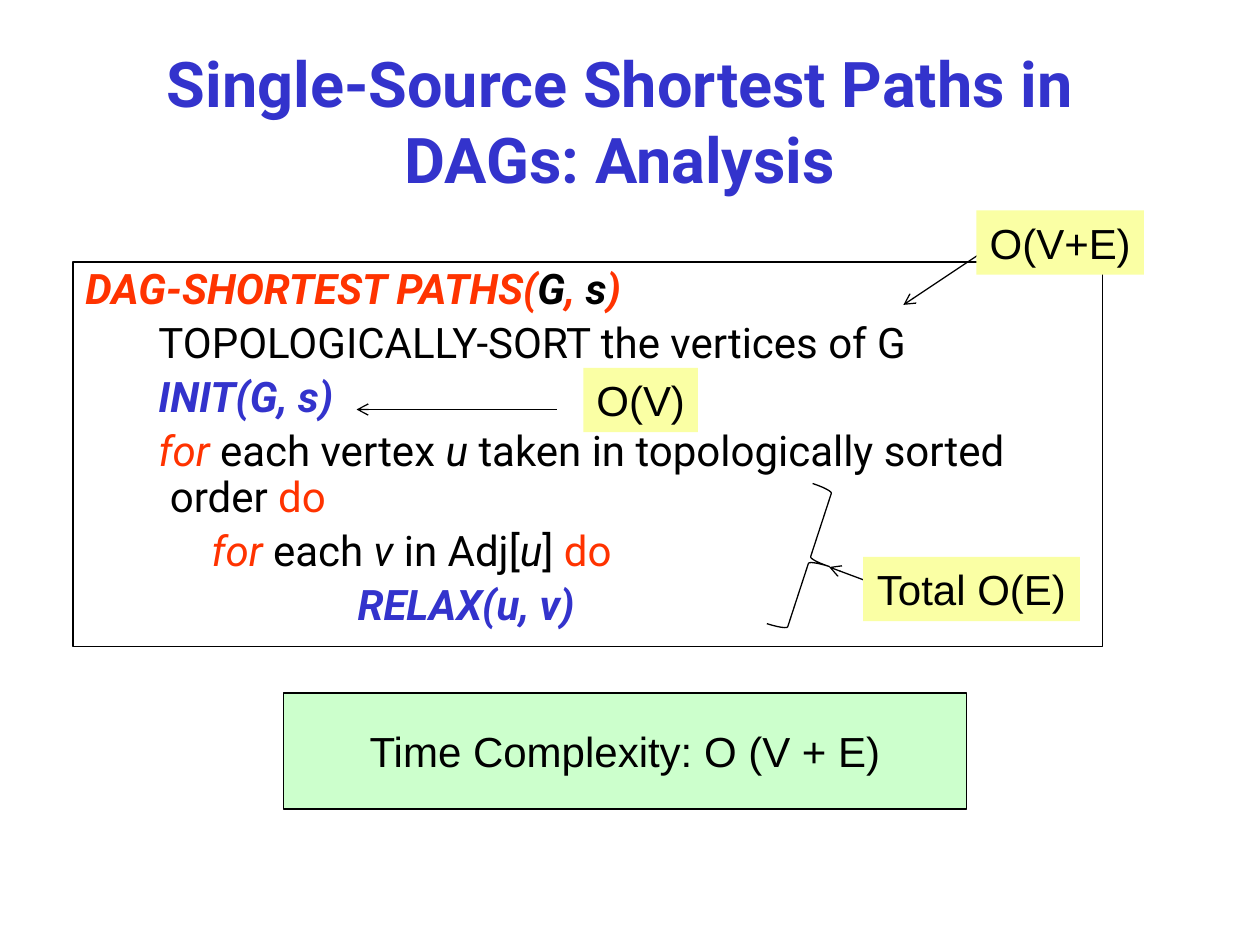
"""Build a slide on the running time of shortest paths in DAGs."""
from lxml import etree
from pptx import Presentation
from pptx.dml.color import RGBColor
from pptx.enum.shapes import MSO_CONNECTOR, MSO_SHAPE
from pptx.enum.text import MSO_ANCHOR, MSO_AUTO_SIZE, PP_ALIGN
from pptx.oxml.ns import qn
from pptx.util import Inches, Pt

RECT, BRACE = MSO_SHAPE.RECTANGLE, MSO_SHAPE.RIGHT_BRACE
STRAIGHT = MSO_CONNECTOR.STRAIGHT
TOP, MIDDLE = MSO_ANCHOR.TOP, MSO_ANCHOR.MIDDLE
LEFT, CENTER = PP_ALIGN.LEFT, PP_ALIGN.CENTER
FIXED = MSO_AUTO_SIZE.NONE

THEME = {
    "black": "000000", "white": "FFFFFF", "blue": "3333CC", "red": "FF3300",
    "yellow": "FAFFA4", "green": "CCFFCC",
    "head": "Roboto", "body": "Arial", "title": 36, "text": 24,
    "line": 0.75, "gap": 5, "lead": 0.9, "hang": 0.67,
}

STYLES = {
    "plain": ("black", False, False),
    "var": ("black", False, True),
    "key": ("red", False, True),
    "do": ("red", False, False),
    "name": ("red", True, True),
    "arg": ("black", True, True),
    "call": ("blue", True, True),
    "title": ("blue", True, False),
}

TITLE = "Single-Source Shortest Paths in DAGs: Analysis"
CODE = [
    (0, [("DAG-SHORTEST PATHS(", "name"), ("G", "arg"), (", ", "name"),
         ("s", "arg"), (")", "name")]),
    (0.58, [("TOPOLOGICALLY-SORT the vertices of G", "plain")]),
    (0.58, [("INIT(G, s)", "call")]),
    (0.58, [("for", "key"), (" each vertex ", "plain"), ("u", "var"),
            (" taken in topologically sorted order ", "plain"), ("do", "do")]),
    (1, [("for", "key"), (" each ", "plain"), ("v", "var"),
         (" in Adj[", "plain"), ("u", "var"), ("] ", "plain"), ("do", "do")]),
    (2.16, [("RELAX(u, v)", "call")]),
]
COSTS = [
    ("O(V+E)", (7.75, 1.67, 1.33, 0.51), (7.92, 1.92, 7.17, 2.42)),
    ("O(V)", (4.63, 2.92, 0.91, 0.51), (4.42, 3.25, 2.83, 3.25)),
    ("Total O(E)", (6.85, 4.42, 1.72, 0.51), (7.25, 4.75, 6.58, 4.5)),
]
RESULT = "Time Complexity: O (V + E)"
PLACES = {
    "title": (0.67, 0.33, 8.5, 1.25),
    "code": (0.58, 2.08, 8.17, 3.05),
    "brace": (6.26, 3.86, 0.33, 1.17),
    "result": (2.25, 5.5, 5.42, 0.92),
}


def color(name):
    return RGBColor.from_string(THEME[name])


def apply(item, values):
    for name, value in values.items():
        setattr(item, name, value)


def outline(item):
    item.line.color.rgb = color("black")
    item.line.width = Pt(THEME["line"])


def add_run(para, text, style="plain", face="body", size="text"):
    tint, bold, italic = STYLES[style]
    run = para.add_run()
    run.text = text
    apply(run.font, {"name": THEME[face], "size": Pt(THEME[size]),
                     "bold": bold, "italic": italic})
    run.font.color.rgb = color(tint)


def add_box(slide, place, fill=None, kind=RECT, edge=True):
    box = slide.shapes.add_shape(kind, *map(Inches, place))
    box.shadow.inherit = False
    if fill:
        box.fill.solid()
        box.fill.fore_color.rgb = color(fill)
    else:
        box.fill.background()
    if edge:
        outline(box)
    else:
        box.line.fill.background()
    return box


def add_label(slide, text, place, fill, edge):
    frame = add_box(slide, place, fill, edge=edge).text_frame
    apply(frame, {"word_wrap": False, "vertical_anchor": MIDDLE})
    para = frame.paragraphs[0]
    para.alignment = CENTER
    add_run(para, text)


def add_arrow(slide, ends):
    arrow = slide.shapes.add_connector(STRAIGHT, *map(Inches, ends))
    outline(arrow)
    props = arrow._element.spPr
    etree.SubElement(props.find(qn("a:ln")), qn("a:tailEnd"), type="arrow")
    etree.SubElement(props, qn("a:effectLst"))


def add_title(slide):
    title = slide.shapes.title
    sides = ("left", "top", "width", "height")
    apply(title, dict(zip(sides, map(Inches, PLACES["title"]))))
    frame = title.text_frame
    apply(frame, {"word_wrap": True, "auto_size": FIXED,
                  "vertical_anchor": MIDDLE})
    para = frame.paragraphs[0]
    para.alignment = CENTER
    add_run(para, TITLE, "title", "head", "title")


def add_code(slide):
    frame = add_box(slide, PLACES["code"]).text_frame
    apply(frame, {"word_wrap": True, "vertical_anchor": TOP})
    for row, (start, runs) in enumerate(CODE):
        para = frame.add_paragraph() if row else frame.paragraphs[0]
        apply(para, {"alignment": LEFT, "line_spacing": THEME["lead"],
                     "space_before": Pt(THEME["gap"] if row else 0)})
        props = para._p.get_or_add_pPr()
        props.set("marL", str(Inches(THEME["hang"])))
        props.set("indent", str(Inches(start) - Inches(THEME["hang"])))
        for text, style in runs:
            add_run(para, text, style, "head")


def main():
    deck = Presentation()
    apply(deck, {"slide_width": Inches(10), "slide_height": Inches(7.5)})
    slide = deck.slides.add_slide(deck.slide_layouts[5])
    add_title(slide)
    add_code(slide)
    brace = add_box(slide, PLACES["brace"], "white", BRACE)
    brace.rotation = 18.1
    for text, place, ends in COSTS:
        add_arrow(slide, ends)
        add_label(slide, text, place, "yellow", False)
    add_label(slide, RESULT, PLACES["result"], "green", True)
    deck.save("out.pptx")


if __name__ == "__main__":
    main()
